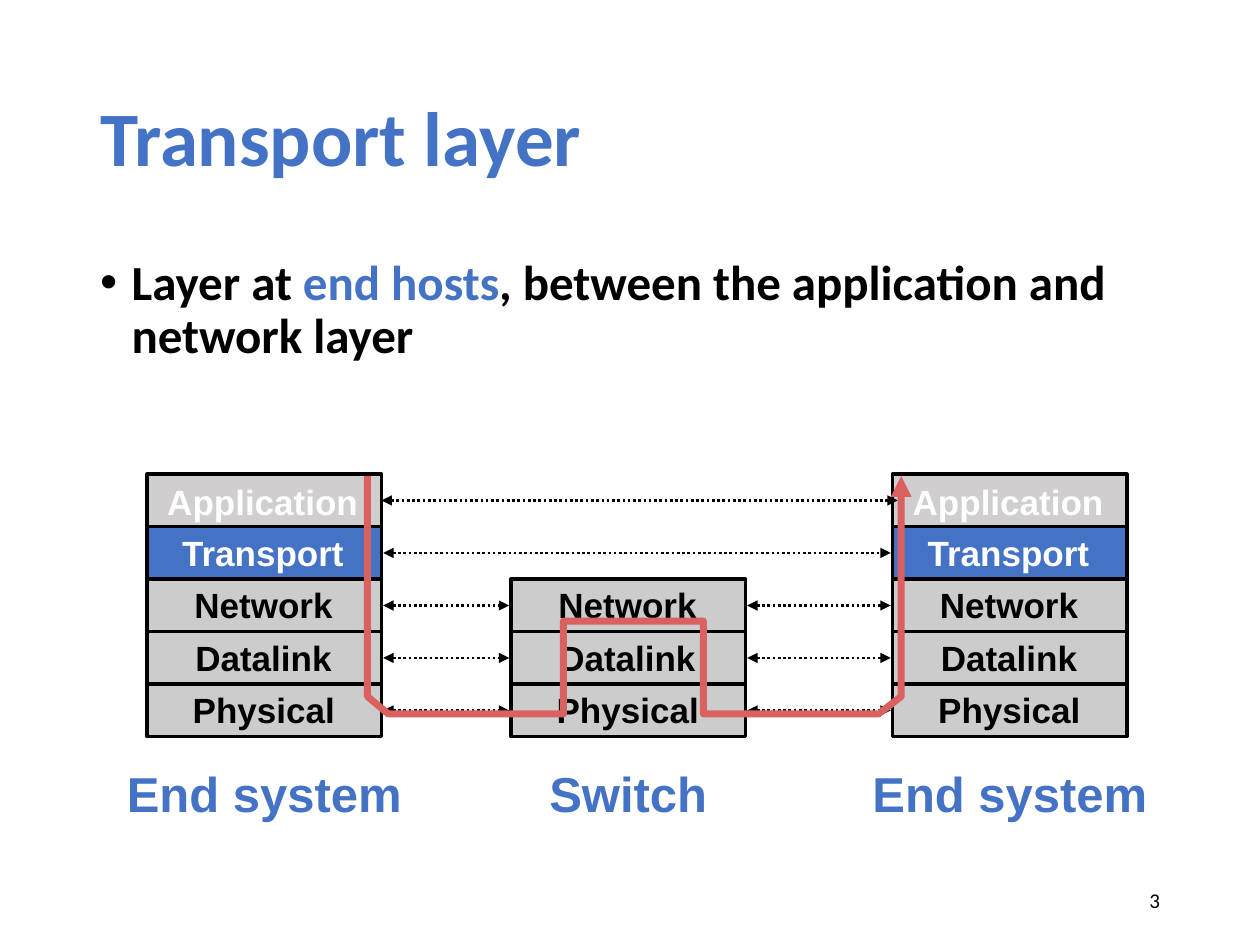
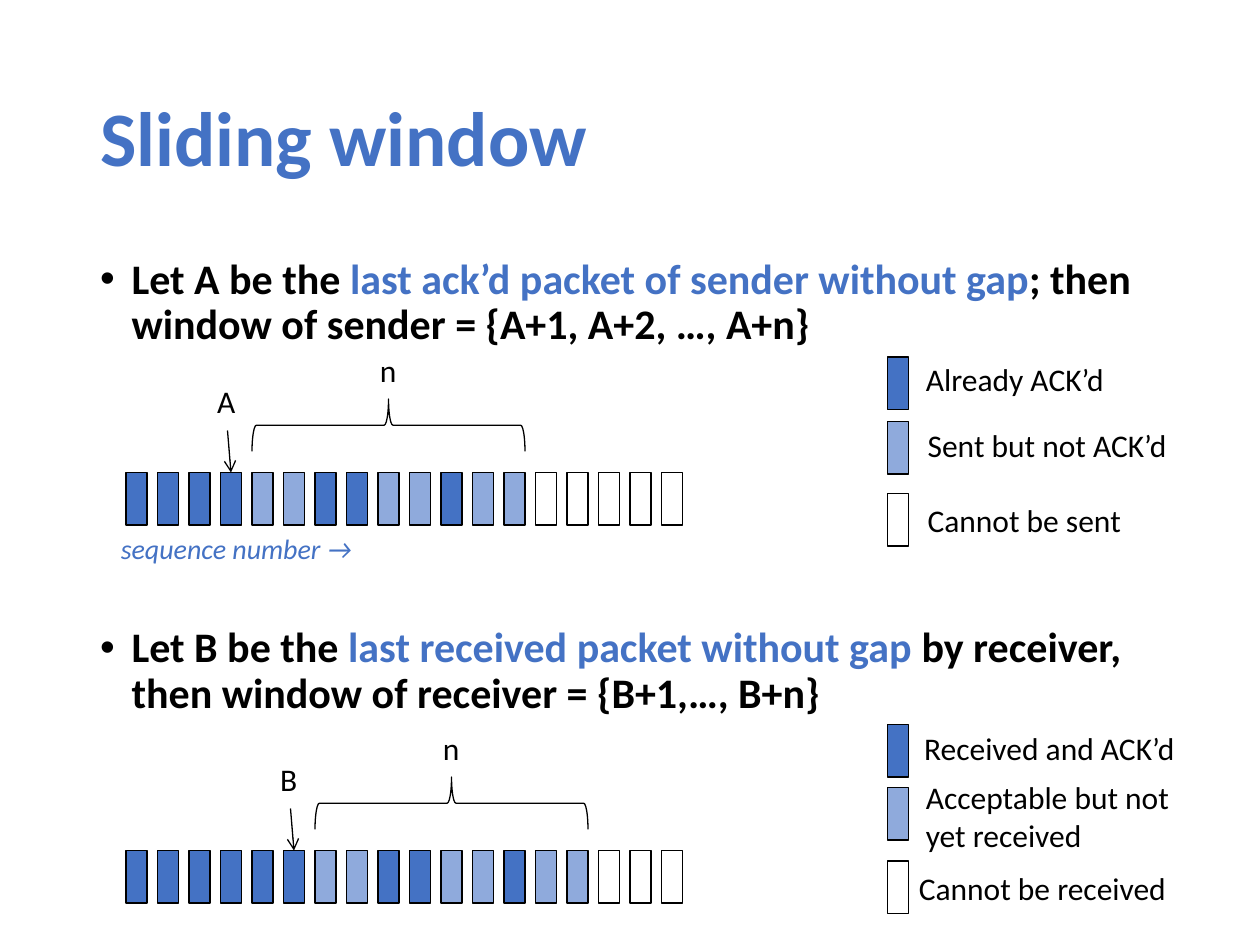
"""Build two lecture slides: the transport layer and the sliding window."""
from lxml import etree
from pptx import Presentation
from pptx import util as u
from pptx.dml.color import RGBColor
from pptx.enum import dml, shapes, text
from pptx.oxml import ns

Pt = u.Pt
BLUE, LIGHT, BLACK, WHITE = "4472C4", "8FAADC", "000000", "FFFFFF"
GREY, PALE, RED = "CCCCCC", "D0CECE", "D9615F"

LAYER_POINTS = [[("Layer at ", BLACK), ("end hosts", BLUE),
                 (", between the application and network layer", BLACK)]]
WINDOW_POINTS = [
    [("Let A be the ", BLACK), ("last ack’d packet of sender without gap", BLUE),
     ("; then window of sender = {A+1, A+2, …, A+n}", BLACK)],
    [("Let B be the ", BLACK), ("last received packet without gap", BLUE),
     (" by receiver, then window of receiver = {B+1,…, B+n}", BLACK)],
]

# name, label width, fill, text colour
LAYERS = [
    ("Application", 125, PALE, WHITE),
    ("Transport", 108, BLUE, WHITE),
    ("Network", 94, GREY, BLACK),
    ("Datalink", 93, GREY, BLACK),
    ("Physical", 96, GREY, BLACK),
]
# name, caption width, left edge, first layer
STATIONS = [
    ("End system", 173, 84, 0),
    ("Switch", 106, 292, 2),
    ("End system", 173, 510, 0),
]
STACK_TOP, LAYER_W, LAYER_H = 271, 134, 30
ROUTE = [(210, 272), (210, 398), (222, 408), (322, 408), (322, 355),
         (402, 355), (402, 408), (502, 408), (515, 398), (515, 272)]

PACKET_FILLS = {"D": BLUE, "L": LIGHT, "W": WHITE}
PACKET_LEFT, PACKET_STEP, PACKET_W, PACKET_H, WINDOW = 72, 18, 12, 30, 9
# legend rows: fill, swatch top, label, label left, label top, label width, label height
SIDES = [
    {"mark": "A", "last": 3, "top": 270, "packets": "DDDDLLDDLLDLLWWWWW", "legend": [
        ("D", 204, "Already ACK’d", 522, 202, 132, 29),
        ("L", 241, "Sent but not ACK’d", 523, 240, 168, 29),
        ("W", 282, "Cannot be sent", 523, 283, 138, 29)]},
    {"mark": "B", "last": 5, "top": 486, "packets": "DDDDDDLLDDLLDLLWWW", "legend": [
        ("D", 414, "Received and ACK’d", 521, 413, 181, 29),
        ("L", 450, "Acceptable but not\vyet received", 522, 441, 166, 51),
        ("W", 492, "Cannot be received", 518, 493, 172, 29)]},
]


def rgb(code):
    """Turn a hex string into a colour."""
    return RGBColor.from_string(code)


def style(run, size, color, face="Calibri", bold=False, italic=False):
    """Format one run."""
    font = run.font
    font.size, font.name, font.bold, font.italic = Pt(size), face, bold, italic
    font.color.rgb = rgb(color)


def stroke(shape, color, width, head=None, tail=None, dotted=False):
    """Draw the outline of a shape or line, with optional arrowheads."""
    shape.line.color.rgb = rgb(color)
    shape.line.width = Pt(width)
    if dotted:
        shape.line.dash_style = dml.MSO_LINE.ROUND_DOT
    for tag, kind in (("a:headEnd", head), ("a:tailEnd", tail)):
        if kind:
            etree.SubElement(shape.line._get_or_add_ln(), ns.qn(tag), type=kind)


def place(shape, left, top, width, height):
    """Set the frame of a shape."""
    shape.left, shape.top = Pt(left), Pt(top)
    shape.width, shape.height = Pt(width), Pt(height)


def add_preset(slide, kind, left, top, width, height, fill, line):
    """Add a preset shape with a black outline."""
    shape = slide.shapes.add_shape(kind, Pt(left), Pt(top), Pt(width), Pt(height))
    shape.shadow.inherit = False
    if fill:
        shape.fill.solid()
        shape.fill.fore_color.rgb = rgb(fill)
    else:
        shape.fill.background()
    stroke(shape, BLACK, line)
    return shape


def add_label(slide, words, left, top, width, height, size, color,
              align=text.PP_ALIGN.LEFT, wrap=False, **look):
    """Add a text box."""
    box = slide.shapes.add_textbox(Pt(left), Pt(top), Pt(width), Pt(height))
    frame = box.text_frame
    frame.text = words
    frame.word_wrap = wrap
    frame.auto_size = text.MSO_AUTO_SIZE.SHAPE_TO_FIT_TEXT
    frame.paragraphs[0].alignment = align
    for run in frame.paragraphs[0].runs:
        style(run, size, color, **look)
    return frame


def add_line(slide, start, end, width, **ends):
    """Add a straight line without a shadow."""
    line = slide.shapes.add_connector(shapes.MSO_CONNECTOR.STRAIGHT,
                                      *(Pt(n) for n in (*start, *end)))
    stroke(line, BLACK, width, **ends)
    etree.SubElement(line._element.spPr, ns.qn("a:effectLst"))


def add_slide(deck, title, points, size, gap=0):
    """Add a slide with its title and bullet list."""
    slide = deck.slides.add_slide(deck.slide_layouts[1])
    heading, body = slide.placeholders
    place(heading, 50, 29, 621, 104)
    heading.text_frame.text = title
    heading.text_frame.vertical_anchor = text.MSO_ANCHOR.MIDDLE
    line = heading.text_frame.paragraphs[0]
    line.alignment, line.line_spacing = text.PP_ALIGN.LEFT, 0.9
    style(line.runs[0], 44, BLUE, bold=True)

    place(body, 50, 144, 621, 343)
    frame = body.text_frame
    for shown in (heading.text_frame, frame):
        shown.auto_size = text.MSO_AUTO_SIZE.NONE
    for index, parts in enumerate(points):
        point = frame.add_paragraph() if index else frame.paragraphs[0]
        props = point._p.get_or_add_pPr()
        props.set("marL", str(Pt(18)))
        props.set("indent", str(Pt(-18)))
        etree.SubElement(props, ns.qn("a:buFont"), typeface="Arial")
        etree.SubElement(props, ns.qn("a:buChar"), char="•")
        point.line_spacing = 0.9
        point.space_before = Pt(gap if index else 0)
        for words, color in parts:
            run = point.add_run()
            run.text = words
            style(run, size, color, bold=True)
    return slide


def add_station(slide, name, caption_w, left, first):
    """Draw one protocol stack with its caption."""
    middle = left + LAYER_W / 2
    for row, (layer, label_w, fill, color) in enumerate(LAYERS):
        if row >= first:
            top = STACK_TOP + row * LAYER_H
            add_preset(slide, shapes.MSO_SHAPE.RECTANGLE, left, top,
                       LAYER_W, LAYER_H, fill, 2)
            add_label(slide, layer, middle - label_w / 2, top - (1 if row else 0),
                      label_w, 31.5, 20, color, face="Arial", bold=True)
    add_label(slide, name, middle - caption_w / 2, 433, caption_w, 41, 28, BLUE,
              text.PP_ALIGN.CENTER, face="Arial", bold=True)


def add_layer_links(slide):
    """Link equal layers of neighbouring stacks and trace the route of the data."""
    sender, switch, receiver = (left for _, _, left, _ in STATIONS)
    for row in range(len(LAYERS)):
        pairs = [(sender, receiver)]
        if row >= STATIONS[1][3]:
            pairs = [(sender, switch), (switch, receiver)]
        y = STACK_TOP + (row + 0.5) * LAYER_H
        for near, far in pairs:
            start, end = near + LAYER_W + 1, far - 1
            if row == 0:
                start, end = start - 1, end + 4
            add_line(slide, (start, y), (end, y), 1.5,
                     head="triangle", tail="triangle", dotted=True)
    builder = slide.shapes.build_freeform(*(Pt(n) for n in ROUTE[0]))
    builder.add_line_segments([(Pt(x), Pt(y)) for x, y in ROUTE[1:]], close=False)
    route = builder.convert_to_shape()
    route.shadow.inherit = False
    route.fill.background()
    stroke(route, RED, 4, tail="triangle")


def add_window(slide, side):
    """Draw one packet row with its marker, window brace and legend."""
    top, rectangle = side["top"], shapes.MSO_SHAPE.RECTANGLE
    for index, code in enumerate(side["packets"]):
        add_preset(slide, rectangle, PACKET_LEFT + index * PACKET_STEP, top,
                   PACKET_W, PACKET_H, PACKET_FILLS[code], 0.75)

    last = PACKET_LEFT + side["last"] * PACKET_STEP
    span = (WINDOW - 1) * PACKET_STEP + PACKET_W
    middle = last + PACKET_STEP + span / 2
    brace = add_preset(slide, shapes.MSO_SHAPE.LEFT_BRACE, middle - 15,
                       top - 27 - span / 2, 30, span, None, 0.75)
    brace.rotation = 90
    add_label(slide, "n", middle - 12, top - 73, 26.5, 31.5, 18, BLACK)
    add_label(slide, side["mark"], last - 9, top - 55.5, 26.5, 31.5, 18, BLACK)
    add_line(slide, (last + 4, top - 24), (last + 6, top), 0.75, tail="arrow")

    for code, swatch_top, meaning, *frame in side["legend"]:
        add_preset(slide, rectangle, 507, swatch_top, PACKET_W, PACKET_H,
                   PACKET_FILLS[code], 0.75)
        add_label(slide, meaning, *frame, 18, BLACK)


def main():
    """Build and save the deck."""
    deck = Presentation()
    deck.slide_width, deck.slide_height = Pt(720), Pt(540)

    transport = add_slide(deck, "Transport layer", LAYER_POINTS, 28)
    for station in STATIONS:
        add_station(transport, *station)
    add_layer_links(transport)
    number = add_label(transport, "3", 508, 500, 162, 29, 12, BLACK,
                       text.PP_ALIGN.RIGHT, wrap=True)
    number.auto_size = text.MSO_AUTO_SIZE.NONE
    number.vertical_anchor = text.MSO_ANCHOR.MIDDLE

    sliding = add_slide(deck, "Sliding window", WINDOW_POINTS, 24, gap=158.5)
    for side in SIDES:
        add_window(sliding, side)
    add_label(sliding, "sequence number →", 62, 300, 208, 27, 16, BLUE,
              wrap=True, italic=True)
    deck.save("out.pptx")


if __name__ == "__main__":
    main()
